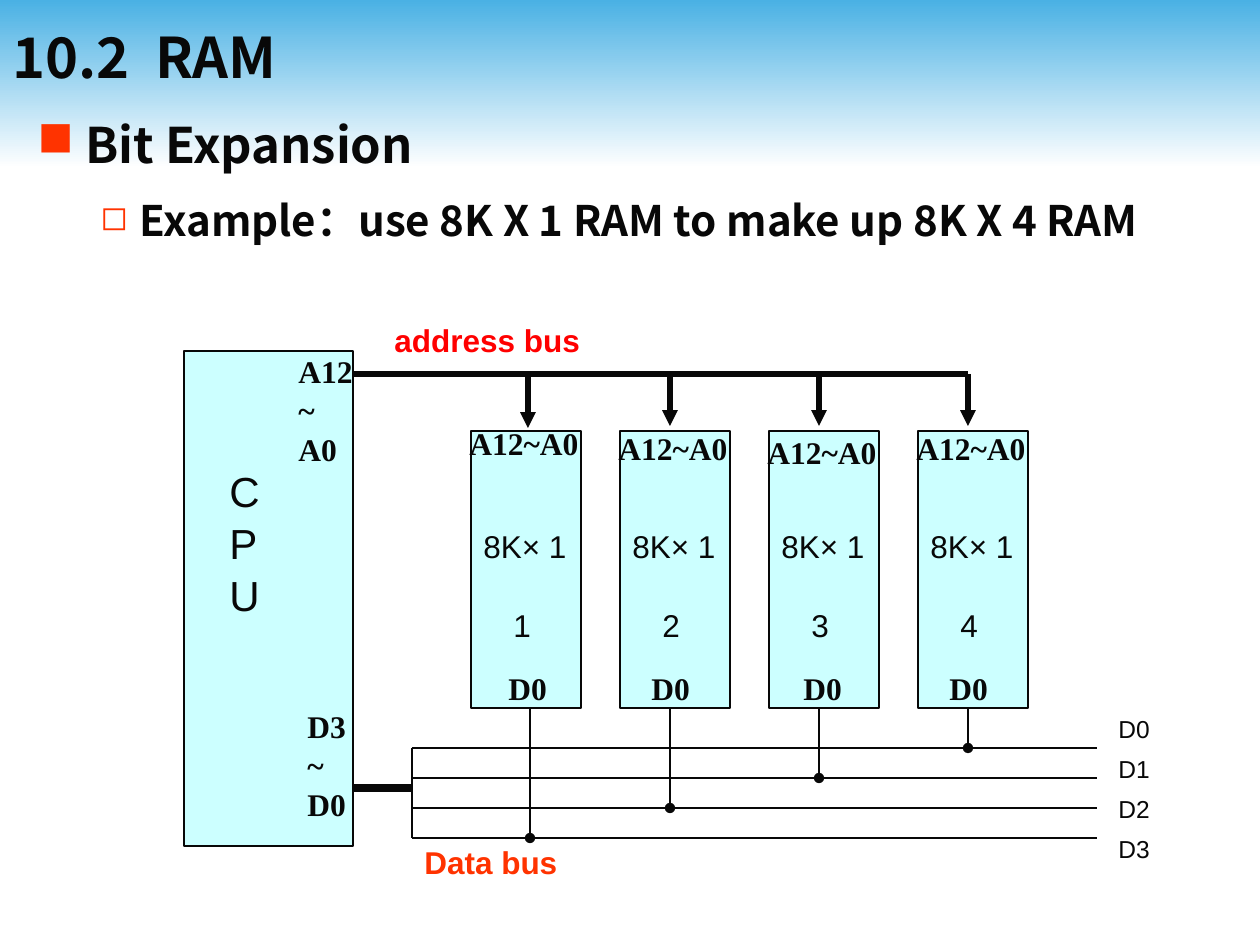
from dataclasses import dataclass

from lxml import etree
from pptx import Presentation
from pptx.dml.color import RGBColor
from pptx.enum.shapes import MSO_CONNECTOR, MSO_SHAPE
from pptx.enum.text import MSO_ANCHOR, PP_ALIGN
from pptx.oxml.ns import qn
from pptx.util import Emu, Pt

RECTANGLE = MSO_SHAPE.RECTANGLE
STRAIGHT = MSO_CONNECTOR.STRAIGHT
LEFT = PP_ALIGN.LEFT
TOP = MSO_ANCHOR.TOP
MIDDLE = MSO_ANCHOR.MIDDLE

INK = RGBColor(0x08, 0x08, 0x08)
PALE_CYAN = RGBColor(0xCC, 0xFF, 0xFF)
SKY = RGBColor(0x4A, 0xB1, 0xE4)
WHITE = RGBColor(0xFF, 0xFF, 0xFF)
RED = RGBColor(0xFF, 0x00, 0x00)
ORANGE = RGBColor(0xFF, 0x33, 0x00)

EMU_PER_PX = 914400 / 126
CPU_RIGHT = 353
ADDRESS_Y = 374
CHIP_TOP, CHIP_WIDTH, CHIP_HEIGHT = 431, 110, 277
CHIP_LEFT, CHIP_PITCH = 471, 149
DATA_LEFT, DATA_RIGHT = 412, 1097
DATA_TOP, DATA_PITCH = 748, 30
LABEL_TOP, LABEL_PITCH = 708, 40


@dataclass(frozen=True)
class Style:
    font: str
    size: int
    bold: bool = False
    color: RGBColor = INK


@dataclass(frozen=True)
class Bullet:
    char: str
    margin: int
    hanging: int
    percent: int
    space_before: int


@dataclass(frozen=True)
class Chip:
    address_x: int
    arrow_end: int
    address_label_y: int
    data_x: int
    data_label_x: int


TITLE = Style("Noto Sans CJK JP", 32, True)
HEADING = Style("Noto Sans CJK JP", 28, True)
SUBHEADING = Style("Noto Sans CJK JP", 24, True)
CPU_NAME = Style("Arial", 24)
CHIP_TEXT = Style("Arial", 18)
PIN = Style("Times New Roman", 18, True)
LINE_LABEL = Style("Arial", 14)

CHIPS = [
    Chip(528, 428, 418, 530, 496),
    Chip(670, 426, 423, 670, 639),
    Chip(819, 426, 427, 819, 791),
    Chip(968, 426, 423, 968, 937),
]


def px(length: int) -> Emu:
    return Emu(round(length * EMU_PER_PX))


def style_paragraph(paragraph, style: Style) -> None:
    paragraph.alignment = LEFT
    font = paragraph.font
    font.name = style.font
    font.size = Pt(style.size)
    font.bold = style.bold
    font.color.rgb = style.color


def add_text(shapes, left: int, top: int, width: int, height: int,
             lines: list[str], style: Style, anchor=TOP, spacing: float = 1.0):
    box = shapes.add_textbox(px(left), px(top), px(width), px(height))
    frame = box.text_frame
    frame.word_wrap = True
    frame.vertical_anchor = anchor
    frame.text = "\n".join(lines)
    for paragraph in frame.paragraphs:
        paragraph.line_spacing = spacing
        style_paragraph(paragraph, style)
    return box


def add_block(shapes, left: int, top: int, width: int, height: int):
    block = shapes.add_shape(RECTANGLE, px(left), px(top), px(width), px(height))
    block.shadow.inherit = False
    block.fill.solid()
    block.fill.fore_color.rgb = PALE_CYAN
    block.line.color.rgb = INK
    block.line.width = Pt(0.75)
    return block


def add_line(shapes, x1: int, y1: int, x2: int, y2: int,
             weight: float = 0.75, tail: str = "") -> None:
    wire = shapes.add_connector(STRAIGHT, px(x1), px(y1), px(x2), px(y2))
    wire.line.color.rgb = INK
    wire.line.width = Pt(weight)
    properties = wire._element.spPr
    if tail:
        outline = properties.find(qn("a:ln"))
        etree.SubElement(outline, qn("a:tailEnd"), type=tail)
    etree.SubElement(properties, qn("a:effectLst"))


def set_bullet(paragraph, bullet: Bullet) -> None:
    properties = paragraph._p.get_or_add_pPr()
    properties.set("marL", str(px(bullet.margin)))
    properties.set("indent", str(px(-bullet.hanging)))
    color = etree.SubElement(properties, qn("a:buClr"))
    etree.SubElement(color, qn("a:srgbClr"), val=str(ORANGE))
    etree.SubElement(properties, qn("a:buSzPct"), val=str(bullet.percent * 1000))
    etree.SubElement(properties, qn("a:buChar"), char=bullet.char)
    if bullet.space_before:
        paragraph.space_before = Pt(bullet.space_before)


def add_header(shapes) -> None:
    band = shapes.add_shape(RECTANGLE, 0, 0, px(1260), px(168))
    band.shadow.inherit = False
    band.line.fill.background()
    band.fill.gradient()
    band.fill.gradient_angle = 270
    for stop, color, position in zip(band.fill.gradient_stops, (SKY, WHITE), (0, 1)):
        stop.color.rgb = color
        stop.position = position
    add_text(shapes, 0, 6, 1260, 100, ["10.2  RAM"], TITLE, MIDDLE)


def add_outline(shapes) -> None:
    points = ["Bit Expansion", "Example：use 8K X 1 RAM to make up 8K X 4 RAM"]
    body = add_text(shapes, 25, 115, 1201, 170, points, HEADING, spacing=0.9)
    heading, example = body.text_frame.paragraphs
    set_bullet(heading, Bullet("■", 48, 48, 100, 0))
    set_bullet(example, Bullet("◻", 102, 39, 80, 15))
    style_paragraph(example, SUBHEADING)


def add_cpu(shapes) -> None:
    add_block(shapes, 184, 351, CPU_RIGHT - 184, 495)
    add_text(shapes, 217, 457, 59, 164, ["CPU"], CPU_NAME, spacing=1.04)
    add_text(shapes, 286, 344, 88, 126, ["A12", "~", "A0"], PIN, spacing=1.04)
    add_text(shapes, 295, 699, 69, 126, ["D3", "~", "D0"], PIN, spacing=1.04)


def add_data_bus(shapes) -> None:
    last_y = DATA_TOP + 3 * DATA_PITCH
    add_line(shapes, CPU_RIGHT, 788, DATA_LEFT, 788, 4.5)
    add_line(shapes, DATA_LEFT, DATA_TOP, DATA_LEFT, last_y)
    for bit in range(4):
        y = DATA_TOP + bit * DATA_PITCH
        add_line(shapes, DATA_LEFT, y, DATA_RIGHT, y)
        add_text(shapes, 1106, LABEL_TOP + bit * LABEL_PITCH, 69, 43,
                 [f"D{bit}"], LINE_LABEL)
    add_text(shapes, 412, 837, 188, 50, ["Data bus"], Style("Arial", 18, True, ORANGE))


def add_chip(shapes, index: int, chip: Chip) -> None:
    left = CHIP_LEFT + index * CHIP_PITCH
    data_y = DATA_TOP + (3 - index) * DATA_PITCH
    add_block(shapes, left, CHIP_TOP, CHIP_WIDTH, CHIP_HEIGHT)
    add_text(shapes, left, 521, 137, 50, ["8K× 1"], CHIP_TEXT)
    add_text(shapes, left + 30, 600, 49, 50, [str(index + 1)], CHIP_TEXT)
    add_text(shapes, left - 14, chip.address_label_y, 168, 50, ["A12~A0"], PIN)
    add_text(shapes, chip.data_label_x, 663, 64, 50, ["D0"], PIN)
    add_line(shapes, CPU_RIGHT, ADDRESS_Y, chip.address_x, ADDRESS_Y, 3)
    add_line(shapes, chip.address_x, ADDRESS_Y, chip.address_x, chip.arrow_end,
             3, "triangle")
    add_line(shapes, chip.data_x, CHIP_TOP + CHIP_HEIGHT, chip.data_x, data_y,
             tail="oval")


def main() -> None:
    presentation = Presentation()
    presentation.slide_width = px(1260)
    presentation.slide_height = px(945)
    shapes = presentation.slides.add_slide(presentation.slide_layouts[6]).shapes
    add_header(shapes)
    add_outline(shapes)
    add_cpu(shapes)
    add_data_bus(shapes)
    for index, chip in enumerate(CHIPS):
        add_chip(shapes, index, chip)
    add_text(shapes, 382, 315, 228, 50, ["address bus"], Style("Arial", 18, True, RED))
    presentation.save("out.pptx")


if __name__ == "__main__":
    main()
